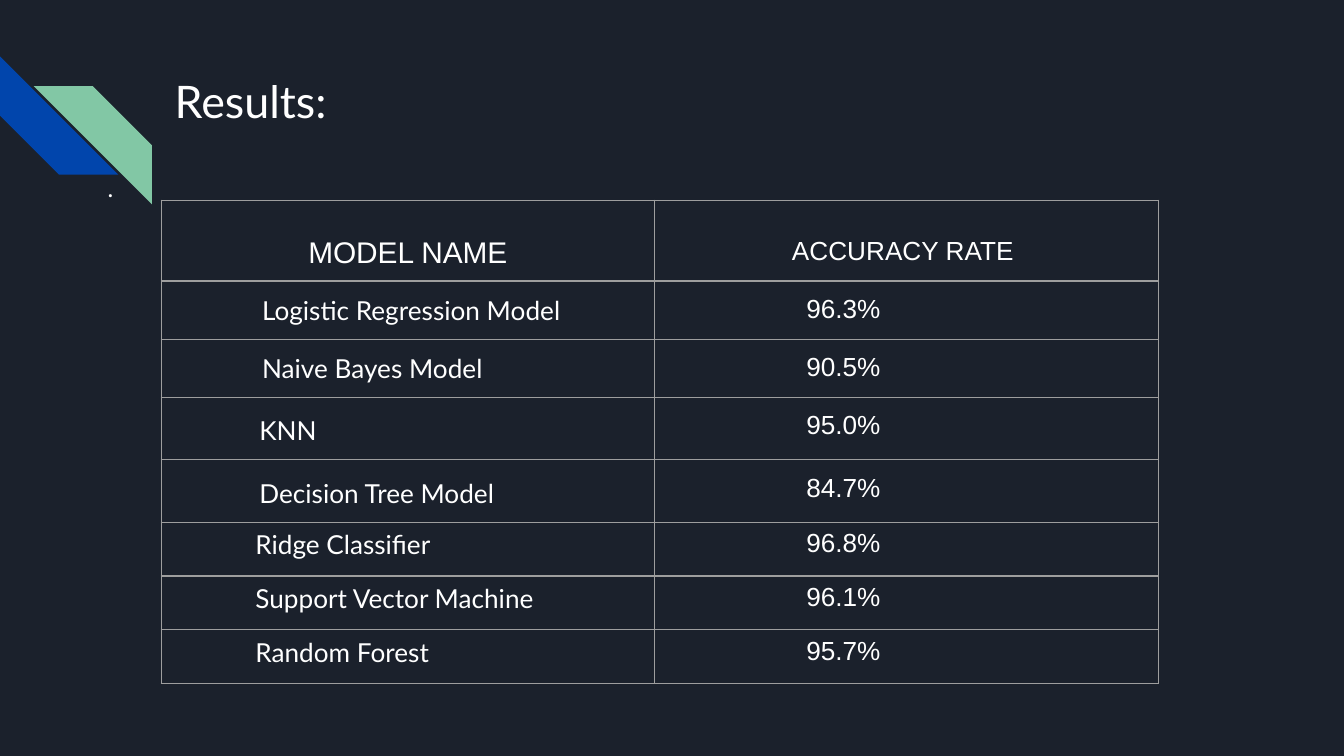
"""Build the results slide: model names and their accuracy rates in a table."""
from pptx import Presentation
from pptx.dml.color import RGBColor
from pptx.enum.shapes import MSO_SHAPE
from pptx.enum.text import MSO_ANCHOR, MSO_AUTO_SIZE, PP_ALIGN
from pptx.oxml import parse_xml
from pptx.oxml.ns import nsdecls
from pptx.util import Inches, Pt

THEME = {
    "background": "1B212C", "text": "FFFFFF", "border": "9E9E9E",
    "blue": "0145AC", "green": "82C7A5",
    "heading_font": "Lato", "figure_font": "Arial",
    "title": 24, "body": 13, "model_header": 16, "cell": 14, "border_width": 0.75,
}
SLIDE_WIDTH = 10
SLIDE_HEIGHT = SLIDE_WIDTH * 9 / 16
TITLE = "Results:"
BODY = "."
HEADERS = [("MODEL NAME", THEME["model_header"]), ("ACCURACY RATE ", THEME["cell"])]
RESULTS = [
    ("Logistic Regression Model", "96.3%", "open"),
    ("Naive Bayes Model", "90.5%", "open"),
    ("KNN", "95.0%", "tall"),
    ("Decision Tree Model", "84.7%", "tall"),
    ("Ridge Classifier", "96.8%", "tight"),
    ("Support Vector Machine", "96.1%", "tight"),
    ("Random Forest", "95.7%", "tight"),
]
ROW_STYLES = {
    "open": {"height": 0.43, "indent": 0.75, "name_top": 0.1, "pad": 0.1},
    "tall": {"height": 0.46, "indent": 0.73, "name_top": 0.13, "pad": 0.1},
    "tight": {"height": 0.4, "indent": 0.7, "name_top": 0.05, "pad": 0.05},
}
HEADER_HEIGHT, HEADER_TOP, HEADER_PAD = 0.6, 0.27, 0.05
VALUE_INDENT = 1.13
COLUMNS = [3.67, 3.75]
TABLE_AT = (1.2, 1.49)
STRIPE_SIZE = 0.88
STRIPES = [(0, 0.42, 270, "blue"), (0.25, 0.64, 90, "green")]


def color(name):
    return RGBColor.from_string(THEME[name])


def write(frame, text, size, font, align=PP_ALIGN.LEFT):
    frame.text = text
    paragraph = frame.paragraphs[0]
    paragraph.alignment = align
    for run in paragraph.runs:
        run.font.size = Pt(size)
        run.font.name = THEME[font]
        run.font.bold = False
        run.font.color.rgb = color("text")
    return paragraph


def fill_placeholder(holder, box, text, size):
    holder.left, holder.top, holder.width, holder.height = map(Inches, box)
    frame = holder.text_frame
    frame.word_wrap = True
    frame.auto_size = MSO_AUTO_SIZE.NONE
    frame.vertical_anchor = MSO_ANCHOR.TOP
    frame.margin_left = frame.margin_right = Inches(0.1)
    frame.margin_top = frame.margin_bottom = Inches(0.1)
    paragraph = write(frame, text, size, "heading_font")
    paragraph.space_before = Pt(0)
    return paragraph


def add_borders(cell):
    properties = cell._tc.get_or_add_tcPr()
    for position, side in enumerate(("lnL", "lnR", "lnT", "lnB")):
        properties.insert(position, parse_xml(
            f'<a:{side} {nsdecls("a")} w="{Pt(THEME["border_width"])}"><a:solidFill>'
            f'<a:srgbClr val="{THEME["border"]}"/></a:solidFill></a:{side}>'))


def fill_cell(cell, text, size, font, left, top, bottom, align=PP_ALIGN.LEFT):
    cell.margin_left, cell.margin_right = Inches(left), Inches(0.1)
    cell.margin_top, cell.margin_bottom = Inches(top), Inches(bottom)
    cell.vertical_anchor = MSO_ANCHOR.TOP
    write(cell.text_frame, text, size, font, align)
    cell.fill.background()
    add_borders(cell)


def add_stripe(slide, left, top, rotation, fill):
    stripe = slide.shapes.add_shape(
        MSO_SHAPE.DIAGONAL_STRIPE, Inches(left), Inches(top),
        Inches(STRIPE_SIZE), Inches(STRIPE_SIZE))
    stripe.rotation = rotation
    stripe.shadow.inherit = False
    stripe.fill.solid()
    stripe.fill.fore_color.rgb = color(fill)
    stripe.line.fill.background()


def add_results(slide):
    heights = [HEADER_HEIGHT] + [ROW_STYLES[style]["height"] for _, _, style in RESULTS]
    table = slide.shapes.add_table(
        len(heights), len(COLUMNS), *map(Inches, TABLE_AT),
        Inches(sum(COLUMNS)), Inches(sum(heights))).table
    table.first_row = table.horz_banding = False
    for column, width in zip(table.columns, COLUMNS):
        column.width = Inches(width)
    for row, height in zip(table.rows, heights):
        row.height = Inches(height)
    for column, (header, size) in enumerate(HEADERS):
        fill_cell(table.cell(0, column), header, size, "figure_font",
                  0.1, HEADER_TOP, HEADER_PAD, PP_ALIGN.CENTER)
    for row, (model, accuracy, style_name) in enumerate(RESULTS, 1):
        style = ROW_STYLES[style_name]
        fill_cell(table.cell(row, 0), model, THEME["cell"], "heading_font",
                  style["indent"], style["name_top"], style["pad"])
        fill_cell(table.cell(row, 1), accuracy, THEME["cell"], "figure_font",
                  VALUE_INDENT, style["pad"], style["pad"])


def main():
    deck = Presentation()
    deck.slide_width, deck.slide_height = Inches(SLIDE_WIDTH), Inches(SLIDE_HEIGHT)
    slide = deck.slides.add_slide(deck.slide_layouts[1])
    slide.background.fill.solid()
    slide.background.fill.fore_color.rgb = color("background")
    for stripe in STRIPES:
        add_stripe(slide, *stripe)
    fill_placeholder(slide.shapes.title, (1.2, 0.45, 7.7, 1), TITLE, THEME["title"])
    body = fill_placeholder(
        slide.placeholders[1], (0.54, 1.16, 8.66, 4.02), BODY, THEME["body"])
    body.line_spacing = 1.15
    properties = body._p.get_or_add_pPr()
    properties.set("marL", str(Inches(0.16)))
    properties.set("indent", "0")
    properties.append(parse_xml(f'<a:buNone {nsdecls("a")}/>'))
    add_results(slide)
    deck.save("out.pptx")


if __name__ == "__main__":
    main()
